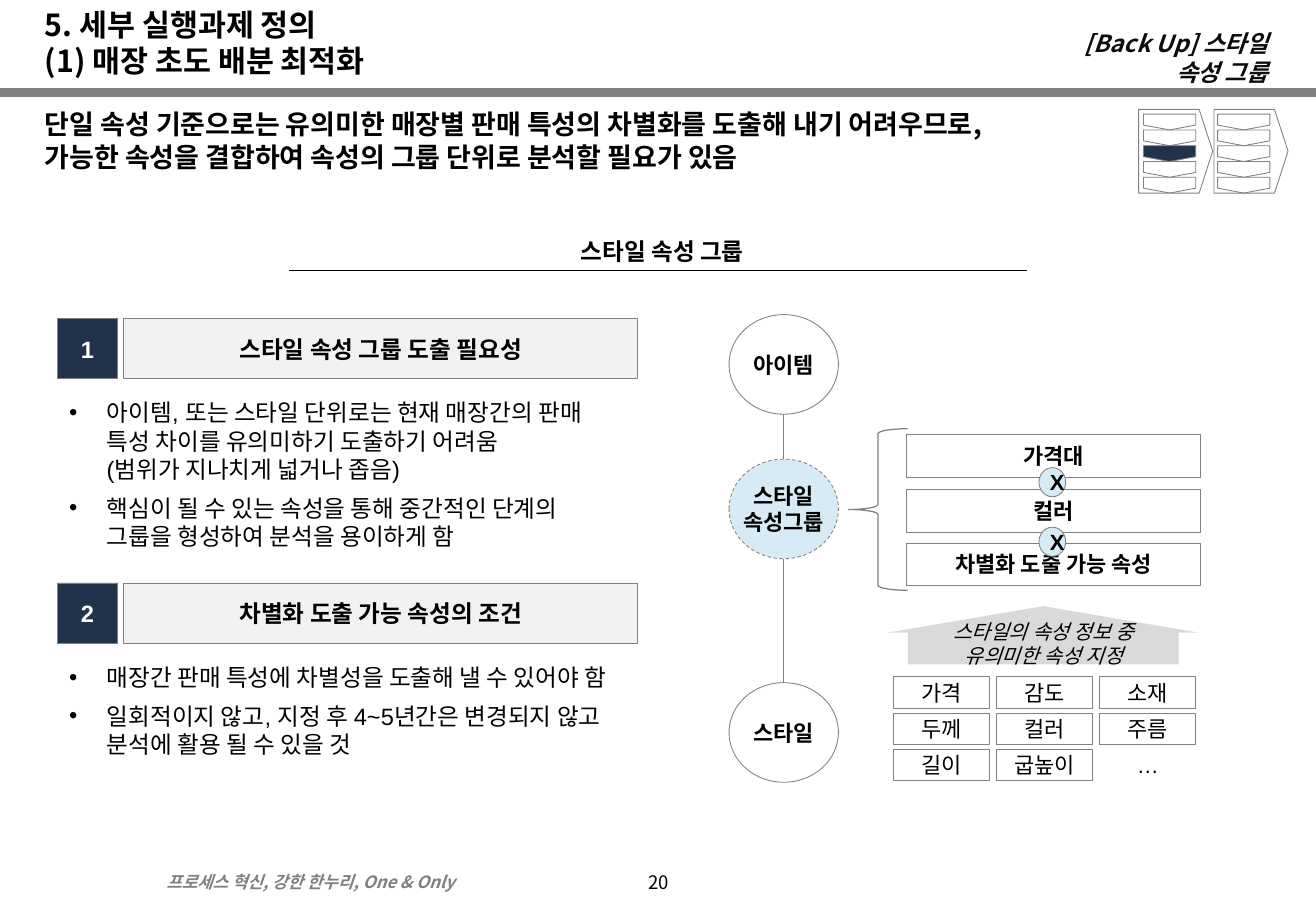
from lxml.etree import SubElement
from pptx import Presentation
from pptx.dml.color import RGBColor
from pptx.enum.dml import MSO_LINE
from pptx.enum.shapes import MSO_CONNECTOR, MSO_SHAPE
from pptx.enum.text import MSO_ANCHOR, PP_ALIGN
from pptx.oxml.ns import qn
from pptx.util import Inches, Pt

RECT, OVAL, PLATE = MSO_SHAPE.RECTANGLE, MSO_SHAPE.OVAL, MSO_SHAPE.PENTAGON
ARROW, BRACE = MSO_SHAPE.UP_ARROW, MSO_SHAPE.RIGHT_BRACE
STRAIGHT, DASH = MSO_CONNECTOR.STRAIGHT, MSO_LINE.DASH
LEFT, CENTER, RIGHT = PP_ALIGN.LEFT, PP_ALIGN.CENTER, PP_ALIGN.RIGHT
TOP, MIDDLE, BOTTOM = MSO_ANCHOR.TOP, MSO_ANCHOR.MIDDLE, MSO_ANCHOR.BOTTOM

COLORS = {
    "black": "000000", "ink": "0D0D0D", "white": "FFFFFF", "gray": "808080",
    "navy": "21324B", "sky": "D6EBF6", "header": "F2F2F2", "arrow": "D9D9D9",
}
KOREAN, LATIN = "Noto Sans CJK KR", "Arial"

TITLE = "5. 세부 실행과제 정의\n(1) 매장 초도 배분 최적화"
BACKUP = "[Back Up] 스타일 속성 그룹"
MESSAGE = ("단일 속성 기준으로는 유의미한 매장별 판매 특성의 차별화를 도출해 내기 어려우므로, "
           "가능한 속성을 결합하여 속성의 그룹 단위로 분석할 필요가 있음")
SUBJECT = "스타일 속성 그룹"
SLOGAN = "프로세스 혁신, 강한 한누리, One & Only"
PAGE = "20"
SECTIONS = [
    ("1", "스타일 속성 그룹 도출 필요성", 2.62, 1.35, [
        "아이템, 또는 스타일 단위로는 현재 매장간의 판매 특성 차이를 유의미하기 도출하기 어려움\n"
        "(범위가 지나치게 넓거나 좁음)",
        "핵심이 될 수 있는 속성을 통해 중간적인 단계의 그룹을 형성하여 분석을 용이하게 함"]),
    ("2", "차별화 도출 가능 속성의 조건", 4.8, 1, [
        "매장간 판매 특성에 차별성을 도출해 낼 수 있어야 함",
        "일회적이지 않고, 지정 후 4~5년간은 변경되지 않고 분석에 활용 될 수 있을 것"]),
]
LEVELS = [("아이템", 2.59), ("스타일\n속성그룹", 3.78), ("스타일", 5.62)]
GROUP_LEVEL = 1
FACTORS = [("가격대", 3.58), ("컬러", 4.03), ("차별화 도출 가능 속성", 4.47)]
CROSS_TOPS = [3.85, 4.34]
ARROW_TEXT = ["스타일의 속성 정보 중", "유의미한 속성 지정"]
ATTRIBUTES = [["가격", "감도", "소재"], ["두께", "컬러", "주름"], ["길이", "굽높이", "…"]]
TRACKER_COLUMNS, TRACKER_ROWS, CURRENT_STEP = 2, 5, (0, 2)

deck = Presentation()
deck.slide_width, deck.slide_height = Inches(10.83), Inches(7.5)
slide = deck.slides.add_slide(deck.slide_layouts[6])


def rgb(name):
    return RGBColor.from_string(COLORS[name])


def write(shape, paragraphs, size, font=LATIN, color="black", bold=False, italic=False,
          align=CENTER, anchor=MIDDLE, insets=(0.1, 0), wrap=True, bullets=False, spacing=None):
    frame = shape.text_frame
    frame.word_wrap = wrap
    frame.vertical_anchor = anchor
    frame.margin_left = frame.margin_right = Inches(insets[0])
    frame.margin_top = frame.margin_bottom = Inches(insets[1])
    for index, content in enumerate(paragraphs):
        paragraph = frame.add_paragraph() if index else frame.paragraphs[0]
        paragraph.alignment = align
        if spacing:
            paragraph.line_spacing = spacing
        if bullets:
            paragraph.space_before = Pt(6)
            properties = paragraph._p.get_or_add_pPr()
            properties.set("marL", str(Inches(0.31)))
            properties.set("indent", str(-Inches(0.31)))
            SubElement(properties, qn("a:buFont")).set("typeface", LATIN)
            SubElement(properties, qn("a:buChar")).set("char", "•")
        for number, line in enumerate(content.split("\n")):
            if number:
                paragraph.add_line_break()
            run = paragraph.add_run()
            run.text = line
            run.font.size, run.font.name = Pt(size), font
            run.font.bold, run.font.italic = bold, italic
            run.font.color.rgb = rgb(color)
            SubElement(run._r.get_or_add_rPr(), qn("a:ea")).set("typeface", KOREAN)


def label(left, top, width, height, paragraphs, size, **style):
    box = slide.shapes.add_textbox(*map(Inches, (left, top, width, height)))
    write(box, paragraphs, size, **style)


def draw(kind, left, top, width, height, fill=None, line="gray", weight=0.5, adjust=()):
    shape = slide.shapes.add_shape(kind, *map(Inches, (left, top, width, height)))
    shape.shadow.inherit = False
    if fill:
        shape.fill.solid()
        shape.fill.fore_color.rgb = rgb(fill)
    else:
        shape.fill.background()
    if line:
        shape.line.color.rgb = rgb(line)
        shape.line.width = Pt(weight)
    else:
        shape.line.fill.background()
    for index, value in enumerate(adjust):
        shape.adjustments[index] = value
    return shape


def connect(x1, y1, x2, y2, color="gray", weight=0.75):
    line = slide.shapes.add_connector(STRAIGHT, *map(Inches, (x1, y1, x2, y2)))
    line.line.color.rgb = rgb(color)
    line.line.width = Pt(weight)
    SubElement(line._element.spPr, qn("a:effectLst"))


connect(0, 0.76, 10.83, 0.76, weight=5)
label(4.92, 7.13, 1, 0.3, [PAGE], 11, font=KOREAN, insets=(0.1, 0.05), spacing=0.8)
label(1.27, 7.13, 3.32, 0.27, [SLOGAN], 10, font=KOREAN, color="gray", bold=True,
      italic=True, align=LEFT, anchor=TOP, insets=(0.1, 0.05))
label(0.27, 0.24, 10.24, 0.46, [TITLE], 18, font=KOREAN, bold=True, align=LEFT,
      anchor=BOTTOM, insets=(0.1, 0.05))
label(8.55, 0.32, 1.95, 0.31, [BACKUP], 14, font=KOREAN, color="ink", bold=True,
      italic=True, align=RIGHT, insets=(0.06, 0), wrap=False)
label(0.27, 0.84, 8.4, 0.83, [MESSAGE], 16, font=KOREAN, bold=True, align=LEFT,
      anchor=TOP, insets=(0.1, 0.05))
connect(2.38, 2.23, 8.45, 2.23, color="black")
label(2.79, 1.9, 5.32, 0.34, [SUBJECT], 14, bold=True, insets=(0.1, 0.05))

for number, heading, top, height, points in SECTIONS:
    write(draw(RECT, 1.02, top, 4.23, 0.5, "header"), [heading], 14, bold=True)
    write(draw(RECT, 0.47, top, 0.5, 0.5, "navy"), [number], 14, color="white", bold=True)
    label(0.47, top + 0.61, 4.78, height, points, 14, align=LEFT, anchor=TOP,
          insets=(0.1, 0.05), bullets=True)

LEVEL_WIDTH, LEVEL_HEIGHT = 0.9, 0.82
for index, (name, top) in enumerate(LEVELS):
    grouped = index == GROUP_LEVEL
    circle = draw(OVAL, 6, top, LEVEL_WIDTH, LEVEL_HEIGHT, "sky" if grouped else None)
    if grouped:
        circle.line.dash_style = DASH
    write(circle, [name], 13, bold=True, insets=(0.04, 0), wrap=not grouped)
for (_, upper), (_, lower) in zip(LEVELS, LEVELS[1:]):
    connect(6.45, upper + LEVEL_HEIGHT, 6.45, lower)

brace = draw(BRACE, 6.98, 3.53, 0.49, 1.33, weight=0.75)
brace._element.spPr.find(qn("a:xfrm")).set("flipH", "1")
for name, top in FACTORS:
    write(draw(RECT, 7.46, top, 2.42, 0.35), [name], 13, bold=True)
for top in CROSS_TOPS:
    write(draw(OVAL, 8.55, top, 0.22, 0.24, "sky"), ["X"], 13, bold=True)

draw(ARROW, 7.31, 4.99, 2.55, 0.48, "arrow", line=None, adjust=(0.874, 0.453))
label(7.29, 5.12, 2.6, 0.35, ARROW_TEXT, 12, italic=True, insets=(0, 0))
for row, names in enumerate(ATTRIBUTES):
    for column, name in enumerate(names):
        cell = draw(RECT, 7.35 + 0.85 * column, 5.57 + 0.3 * row, 0.79, 0.26,
                    line=None if name == "…" else "gray")
        write(cell, [name], 13)

for column in range(TRACKER_COLUMNS):
    draw(PLATE, 9.37 + 0.62 * column, 0.9, 0.61, 0.69, adjust=(0.183,))
    for row in range(TRACKER_ROWS):
        step = draw(PLATE, 9.56 + 0.61 * column, 0.79 + 0.13 * row, 0.13, 0.43,
                    "navy" if (column, row) == CURRENT_STEP else None, adjust=(0.309,))
        step.rotation = 90

deck.save("out.pptx")
